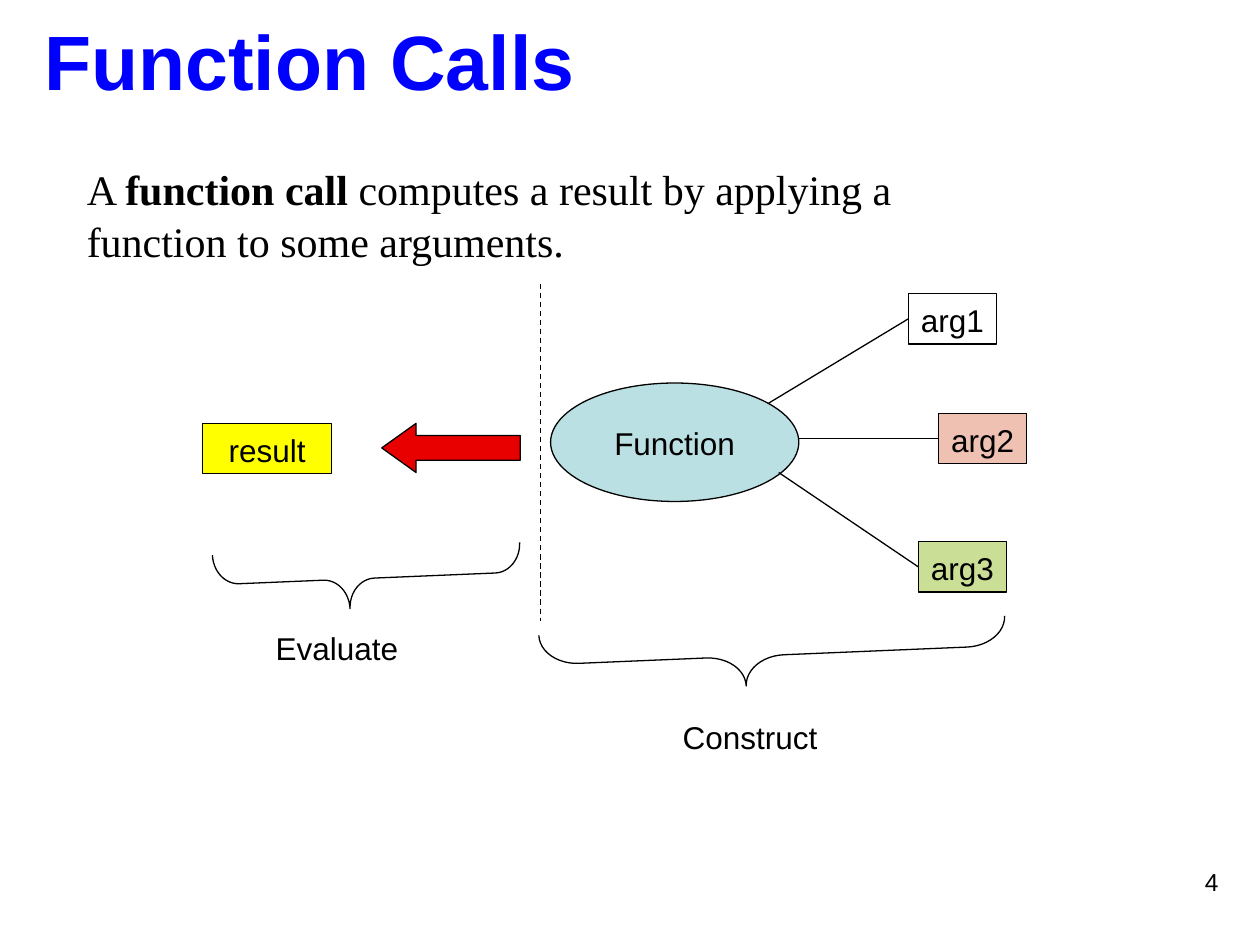
import pptx
import pptx.util
from lxml import etree
from pptx.dml.color import RGBColor
from pptx.enum.dml import MSO_LINE
from pptx.enum.shapes import MSO_CONNECTOR, MSO_SHAPE
from pptx.enum.text import MSO_ANCHOR, PP_ALIGN
from pptx.oxml.ns import qn

COLUMNS, ROWS = 100, 75
CELL = pptx.util.Inches(0.1)

BLACK = RGBColor(0x00, 0x00, 0x00)
BLUE = RGBColor(0x00, 0x00, 0xFF)
TEAL = RGBColor(0xBB, 0xE0, 0xE3)
GREEN = RGBColor(0xCA, 0xDF, 0x95)
PINK = RGBColor(0xEF, 0xC1, 0xB3)
YELLOW = RGBColor(0xFF, 0xFF, 0x00)
RED = RGBColor(0xE8, 0x00, 0x00)

LINE_WIDTH = pptx.util.Pt(0.75)
ARG_WIDTH, BOX_HEIGHT = 7, 4


def cells(*counts):
    """Turn counts of grid cells into lengths."""
    return [round(count * CELL) for count in counts]


def write(box, text, size=18, font="Arial", color=BLACK, bold=False,
          align=PP_ALIGN.LEFT, anchor=MSO_ANCHOR.TOP, wrap=False, top_inset=0.5):
    """Fill a shape with one paragraph; text between asterisks is bold."""
    frame = box.text_frame
    frame.word_wrap = wrap
    frame.vertical_anchor = anchor
    frame.margin_top = cells(top_inset)[0]
    para = frame.paragraphs[0]
    para.alignment = align
    para.line_spacing = 1.04
    for index, part in enumerate(text.split("*")):
        span = para.add_run()
        span.text = part
        span.font.size = pptx.util.Pt(size)
        span.font.name = font
        span.font.bold = bold or index % 2 == 1
        span.font.color.rgb = color


def add_label(page, place, text, **text_format):
    write(page.shapes.add_textbox(*cells(*place)), text, **text_format)


def add_outline(page, preset, place, fill=None, adjustments=()):
    """Add a preset shape with a thin black line."""
    shape = page.shapes.add_shape(preset, *cells(*place))
    shape.shadow.inherit = False
    if fill is None:
        shape.fill.background()
    else:
        shape.fill.solid()
        shape.fill.fore_color.rgb = fill
    shape.line.color.rgb = BLACK
    shape.line.width = LINE_WIDTH
    for index, value in enumerate(adjustments):
        shape.adjustments[index] = value
    return shape


def add_line(page, start, end):
    line = page.shapes.add_connector(MSO_CONNECTOR.STRAIGHT, *cells(*start, *end))
    line.line.color.rgb = BLACK
    line.line.width = LINE_WIDTH
    etree.SubElement(line._element.spPr, qn("a:effectLst"))
    return line


def add_argument(page, name, left, top, fill, start):
    """Add an argument box and the line that reaches its left side."""
    box = add_outline(page, MSO_SHAPE.RECTANGLE, (left, top, ARG_WIDTH, BOX_HEIGHT), fill)
    write(box, name)
    line = add_line(page, start, (left, top + BOX_HEIGHT / 2))
    line.end_connect(box, 1)


def add_brace(page, left, top, length):
    """Add a brace turned to point down, its curves a twelfth of its length."""
    depth = 4.7
    brace = add_outline(page, MSO_SHAPE.LEFT_BRACE, (left, top, depth, length),
                        adjustments=(length / 12 / depth, 0.44))
    brace.rotation = 267.6


def main():
    deck = pptx.Presentation()
    deck.slide_width, deck.slide_height = cells(COLUMNS, ROWS)
    page = deck.slides.add_slide(deck.slide_layouts[6])

    add_label(page, (0, 0, 49.2, 9.9), "Function Calls", size=44, color=BLUE,
              bold=True, align=PP_ALIGN.CENTER, wrap=True, top_inset=0.8)
    add_label(page, (5.9, 12.3, 73.5, 9),
              "A *function call* computes a result by applying a function to some arguments.",
              size=24, font="Times New Roman", wrap=True)

    function = add_outline(page, MSO_SHAPE.OVAL, (43.7, 30.4, 19.7, 9.4), TEAL)
    write(function, "Function", align=PP_ALIGN.CENTER, anchor=MSO_ANCHOR.MIDDLE)
    for name, left, top, fill, start in (
            ("arg1", 72.1, 23.3, None, (61, 32)),
            ("arg2", 74.5, 32.8, PINK, (63.4, 34.8)),
            ("arg3", 72.9, 43, GREEN, (61.8, 37.5))):
        add_argument(page, name, left, top, fill, start)

    add_outline(page, MSO_SHAPE.LEFT_ARROW, (30.3, 33.6, 11, 3.9), RED, (0.5, 0.7))
    result = add_outline(page, MSO_SHAPE.RECTANGLE, (16.1, 33.6, 10.2, BOX_HEIGHT), YELLOW)
    write(result, "result", align=PP_ALIGN.CENTER, wrap=True)

    add_brace(page, 26.8, 33.7, 24.4)
    add_brace(page, 59, 33.5, 37)
    divider = add_line(page, (42.9, 22.5), (42.9, 49.3))
    divider.line.dash_style = MSO_LINE.DASH

    add_label(page, (20.9, 49.3, 11.7, BOX_HEIGHT), "Evaluate")
    add_label(page, (53.2, 56.4, 12.7, BOX_HEIGHT), "Construct")
    add_label(page, (74.4, 68.2, 23.3, 5.2), "4", size=14, align=PP_ALIGN.RIGHT, wrap=True)

    deck.save("out.pptx")


if __name__ == "__main__":
    main()
